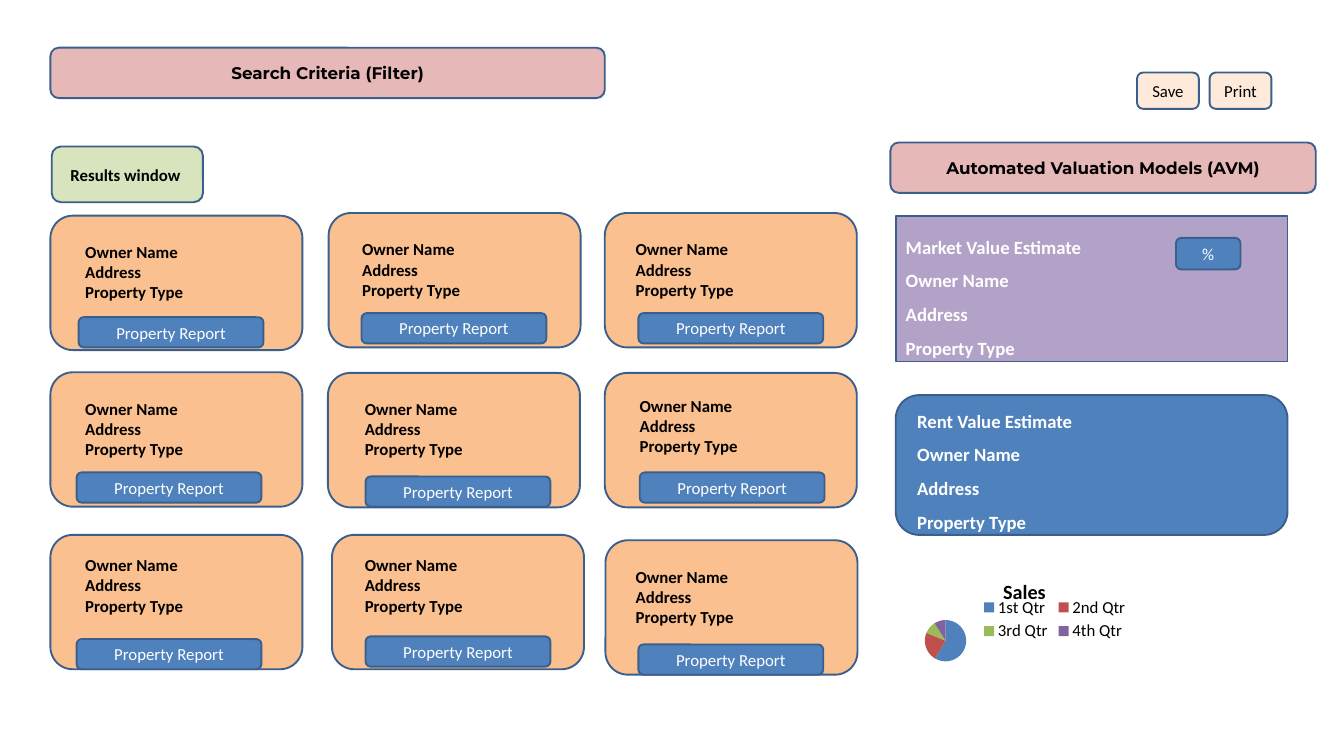
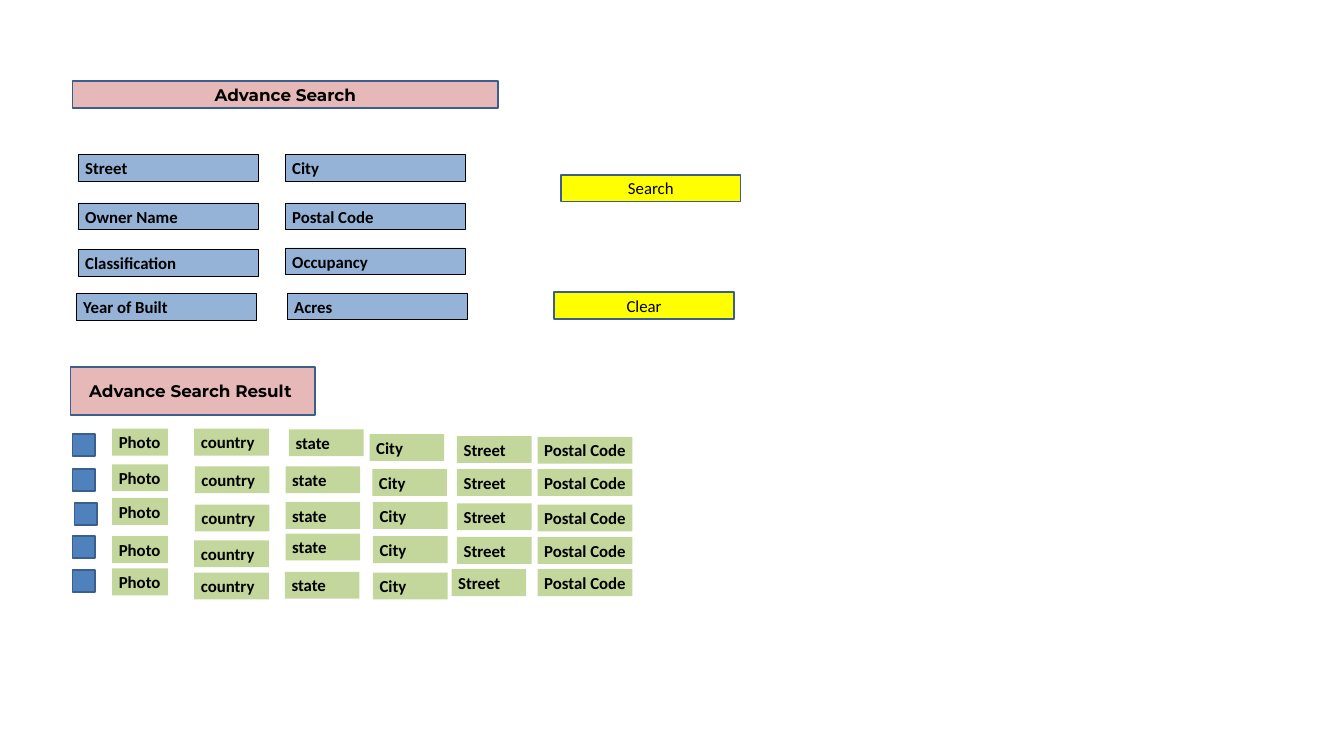
from dataclasses import dataclass

from pptx import Presentation
from pptx import util as u
from pptx.chart.data import CategoryChartData
from pptx.dml.color import RGBColor
from pptx.enum import chart as charts, shapes, text

# Slide grid: positions are (left, top, width, height) in columns and rows
WIDTH, HEIGHT = u.Inches(20), u.Inches(11.25)
COLUMN, ROW = WIDTH / 20, HEIGHT / 11.25

# Shared look
BODY, HEADING = "Calibri", "Montserrat"
BLACK, WHITE, OUTLINE = "000000", "FFFFFF", "3A5F8C"
PINK, BLUE, ORANGE, YELLOW = "E6B9B8", "4F81BD", "FAC090", "FFFF00"
PALE_GREEN, GREEN, CREAM = "D7E4BD", "C3D69B", "FDEADA"
PURPLE, PALE_BLUE = "B3A2C7", "95B3D7"
RECTANGLE = shapes.MSO_SHAPE.RECTANGLE
ROUNDED = shapes.MSO_SHAPE.ROUNDED_RECTANGLE

# Result cards, row by row: shift from the grid, details and button in the card
CARD_PITCH = (4.13, 2.38)
CARDS = [
    [((0, 0.04), (0.42, 0.33), (0.42, 1.51)),
     ((0.01, 0), (0.4, 0.34), (0.49, 1.49)),
     ((-0.01, 0), (0.36, 0.34), (0.5, 1.49))],
    [((0, -0.01), (0.42, 0.34), (0.39, 1.49)),
     ((0, 0), (0.45, 0.33), (0.56, 1.54)),
     ((-0.01, 0), (0.42, 0.29), (0.52, 1.48))],
    [((0, 0.03), (0.42, 0.25), (0.39, 1.55)),
     ((0.06, 0.03), (0.39, 0.25), (0.5, 1.51)),
     ((0, 0.11), (0.35, 0.34), (0.49, 1.55))],
]
PROPERTY_LINES = ["Owner Name", "Address", "Property Type"]

# Search fields: name, left, top in the form
FIELDS = [
    ("Street", 0.03, 0), ("City", 3.11, 0),
    ("Owner Name", 0.03, 0.72), ("Postal Code", 3.11, 0.72),
    ("Classification", 0.03, 1.41), ("Occupancy", 3.11, 1.39),
    ("Year of Built", 0, 2.07), ("Acres", 3.14, 2.06),
]

# Result columns: label, width, lefts and tops of the five rows
RESULT_COLUMNS = [
    ("Photo", 0.83, [0.59] * 5, [0, 0.53, 1.03, 1.6, 2.08]),
    ("country", 1.11, [1.81, 1.82, 1.82, 1.81, 1.81], [0, 0.56, 1.13, 1.66, 2.14]),
    ("state", 1.11, [3.22, 3.17, 3.17, 3.17, 3.16], [0.01, 0.56, 1.09, 1.56, 2.13]),
    ("City", 1.11, [4.42, 4.46, 4.47, 4.47, 4.47], [0.08, 0.6, 1.09, 1.6, 2.14]),
    ("Street", 1.11, [5.72] * 4 + [5.64], [0.11, 0.6, 1.11, 1.61, 2.09]),
    ("Postal Code", 1.41, [6.92] * 5, [0.12, 0.6, 1.13, 1.61, 2.09]),
]
CHECKBOXES = [(0, 0.08), (0, 0.6), (0.03, 1.1), (0, 1.6), (0, 2.1)]

SALES = {"1st Qtr": (59, BLUE), "2nd Qtr": (23, "C0504D"),
         "3rd Qtr": (10, "9BBB59"), "4th Qtr": (9, "8064A2")}


@dataclass
class Box:
    left: float
    top: float
    width: float
    height: float

    def inner(self, left, top, width, height):
        """A box placed from this box's top left corner."""
        return Box(self.left + left, self.top + top, width, height)

    def lengths(self):
        return [u.Emu(round(length * unit)) for length, unit in
                zip((self.left, self.top, self.width, self.height),
                    (COLUMN, ROW, COLUMN, ROW))]


def color(hex_value):
    return RGBColor.from_string(hex_value)


def style_font(font, size, hex_value, bold=False, name=BODY):
    font.name, font.size, font.bold = name, u.Pt(size), bold
    font.color.rgb = color(hex_value)


def paint(shape, fill, line=OUTLINE, line_width=2):
    shape.fill.solid()
    shape.fill.fore_color.rgb = color(fill)
    if line:
        shape.line.color.rgb = color(line)
        shape.line.width = u.Pt(line_width)


def add_panel(slide, box, fill, kind=ROUNDED, label="", label_color=BLACK,
              bold=False, font=BODY):
    """An outlined shape with an optional centred label."""
    shape = slide.shapes.add_shape(kind, *box.lengths())
    shape.shadow.inherit = False
    paint(shape, fill)
    if label:
        frame = shape.text_frame
        frame.text = label
        frame.vertical_anchor = text.MSO_ANCHOR.MIDDLE
        paragraph = frame.paragraphs[0]
        paragraph.alignment = text.PP_ALIGN.CENTER
        style_font(paragraph.runs[0].font, 18, label_color, bold, font)
    return shape


def add_heading(slide, box, label, kind=ROUNDED):
    return add_panel(slide, box, PINK, kind, label, bold=True, font=HEADING)


def add_lines(slide, box, lines, size=18, hex_value=BLACK, spacing=None):
    """A left-aligned bold text box, one paragraph a line."""
    shape = slide.shapes.add_textbox(*box.lengths())
    frame = shape.text_frame
    frame.word_wrap = True
    frame.margin_right = 0
    frame.text = "\n".join(lines)
    for paragraph in frame.paragraphs:
        paragraph.line_spacing = spacing
        style_font(paragraph.runs[0].font, size, hex_value, bold=True)
    return shape


def add_cards(slide, box):
    for row, cards in enumerate(CARDS):
        for column, (shift, details, button) in enumerate(cards):
            card = box.inner(column * CARD_PITCH[0] + shift[0],
                             row * CARD_PITCH[1] + shift[1], 3.75, 2)
            add_panel(slide, card, ORANGE)
            add_lines(slide, card.inner(*details, 2.92, 1.01), PROPERTY_LINES)
            add_panel(slide, card.inner(*button, 2.75, 0.45), BLUE,
                      label="Property Report", label_color=WHITE)


def add_estimate(slide, box, title, fill, kind, text_left, text_top):
    add_panel(slide, box, fill, kind)
    add_lines(slide, box.inner(text_left, text_top, 5.46, 2.12),
              [title] + PROPERTY_LINES, 20, WHITE, 1.5)


def add_sales_pie(slide, box):
    data = CategoryChartData()
    data.categories = list(SALES)
    data.add_series("Sales", [value for value, _ in SALES.values()])
    chart = slide.shapes.add_chart(charts.XL_CHART_TYPE.PIE, *box.lengths(), data).chart
    style_font(chart.font, 18, BLACK)
    chart.has_title = True
    title = chart.chart_title.text_frame
    title.text = "Sales"
    style_font(title.paragraphs[0].runs[0].font, 21.6, BLACK, bold=True)
    chart.has_legend = True
    chart.legend.position = charts.XL_LEGEND_POSITION.RIGHT
    chart.legend.include_in_layout = False
    plot = chart.plots[0]
    plot.vary_by_categories = True
    for index, (_, fill) in enumerate(SALES.values()):
        point_fill = plot.series[0].points[index].format.fill
        point_fill.solid()
        point_fill.fore_color.rgb = color(fill)


def add_valuation(slide, box):
    add_heading(slide, box.inner(0, 0, 6.33, 0.75), "Automated Valuation Models (AVM)")
    add_estimate(slide, box.inner(0.08, 1.09, 5.83, 2.17), "Market Value Estimate",
                 PURPLE, RECTANGLE, 0.05, 0.08)
    add_panel(slide, box.inner(4.25, 1.42, 0.96, 0.47), BLUE, label="%", label_color=WHITE)
    add_estimate(slide, box.inner(0.08, 3.76, 5.83, 2.08), "Rent Value Estimate",
                 BLUE, ROUNDED, 0.22, 0)
    add_sales_pie(slide, box.inner(0.33, 6.33, 3.33, 1.53))


def add_search_form(slide, box):
    for name, left, top in FIELDS:
        field = add_lines(slide, box.inner(left, top, 2.67, 0.4), [name])
        paint(field, PALE_BLUE, BLACK, 0.75)
    for label, left, top in [("Search", 7.21, 0.3), ("Clear", 7.11, 2.05)]:
        add_panel(slide, box.inner(left, top, 2.67, 0.4), YELLOW, RECTANGLE, label)


def add_result_rows(slide, box):
    for left, top in CHECKBOXES:
        add_panel(slide, box.inner(left, top, 0.33, 0.33), BLUE, RECTANGLE)
    for label, width, lefts, tops in RESULT_COLUMNS:
        for left, top in zip(lefts, tops):
            cell = add_lines(slide, box.inner(left, top, width, 0.4), [label])
            paint(cell, GREEN, line=None)


def build_results_slide(slide, page):
    # Header and actions
    add_heading(slide, page.inner(0.75, 0.71, 8.25, 0.75), "Search Criteria (Filter)")
    add_panel(slide, page.inner(0.77, 2.18, 2.25, 0.83), PALE_GREEN,
              label="Results window ", bold=True)
    for index, label in enumerate(["Save", "Print"]):
        add_panel(slide, page.inner(16.92 + index * 1.08, 1.08, 0.92, 0.54), CREAM, label=label)
    # Result cards and valuation column
    add_cards(slide, page.inner(0.75, 3.17, 12, 6.87))
    add_valuation(slide, page.inner(13.25, 2.12, 6.33, 7.86))


def build_search_slide(slide, page):
    # Search form
    add_heading(slide, page.inner(1.08, 1.21, 6.33, 0.4), "Advance Search", RECTANGLE)
    add_search_form(slide, page.inner(1.14, 2.3, 9.88, 2.47))
    # Search results
    add_heading(slide, page.inner(1.05, 5.46, 3.64, 0.71), "Advance Search Result ", RECTANGLE)
    add_result_rows(slide, page.inner(1.08, 6.38, 8.33, 2.54))


def main():
    presentation = Presentation()
    presentation.slide_width, presentation.slide_height = WIDTH, HEIGHT
    page = Box(0, 0, 20, 11.25)
    for build in (build_results_slide, build_search_slide):
        build(presentation.slides.add_slide(presentation.slide_layouts[6]), page)
    presentation.save("out.pptx")


if __name__ == "__main__":
    main()
